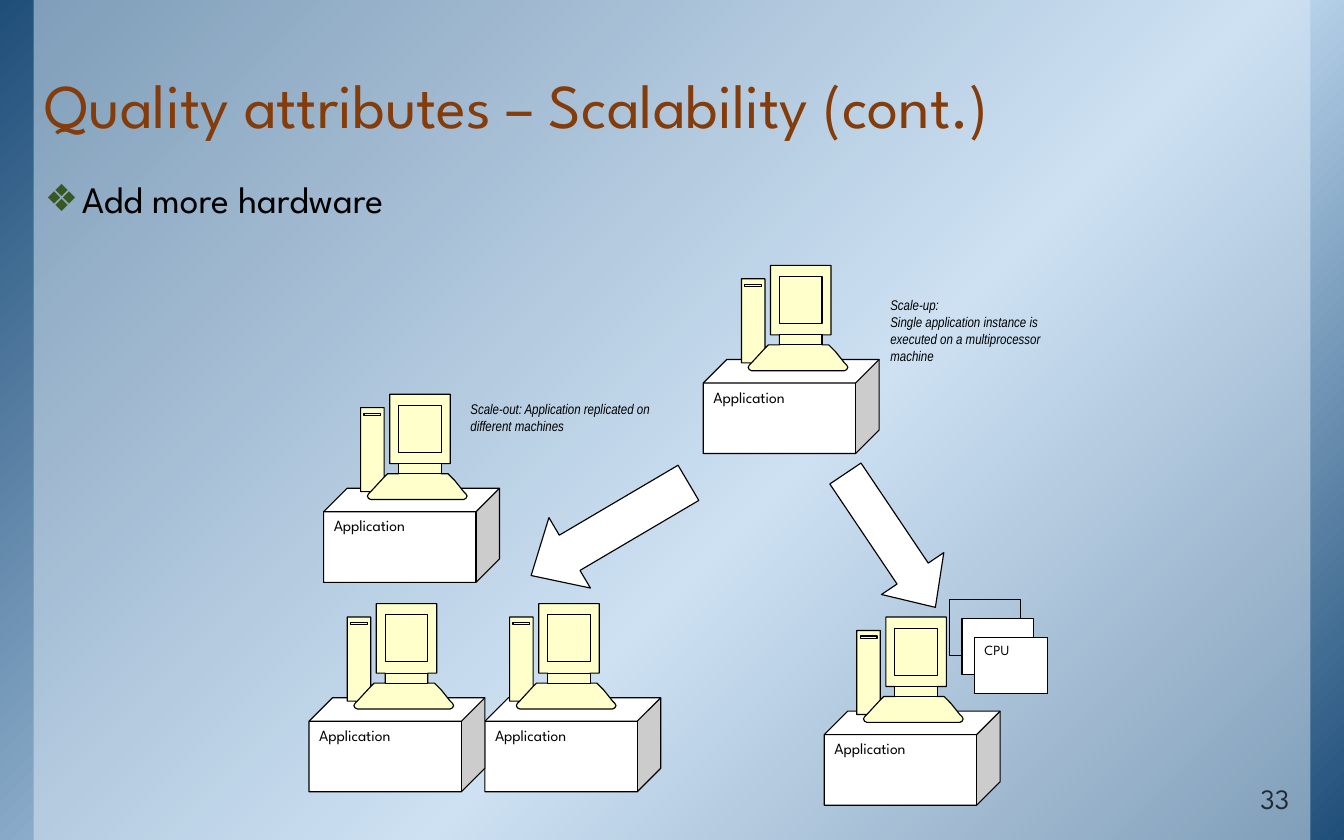
"""Build the scalability slide: scale-out against scale-up."""
from copy import deepcopy
from typing import NamedTuple

from lxml.etree import SubElement
from pptx import Presentation
from pptx.dml.color import RGBColor
from pptx.enum.shapes import MSO_SHAPE
from pptx.enum.text import MSO_ANCHOR, PP_ALIGN
from pptx.oxml.ns import qn
from pptx.util import Pt

PX = 9144
NAVY = RGBColor(0x1F, 0x4E, 0x79)
SKY = RGBColor(0xBD, 0xD7, 0xEE)
PALE = RGBColor(0xDE, 0xEB, 0xF7)
RUST = RGBColor(0x84, 0x3C, 0x0B)
GREEN = RGBColor(0x38, 0x57, 0x23)
SLATE = RGBColor(0x22, 0x2A, 0x35)
CREAM = RGBColor(0xFF, 0xFF, 0xCC)
WHITE = RGBColor(0xFF, 0xFF, 0xFF)
BLACK = RGBColor(0, 0, 0)
SPARTAN = "League Spartan"
NARROW = "Arial Narrow"
WIDE = (13, 7)
TIGHT = (9, 4)


class Box(NamedTuple):
    x: int
    y: int
    w: int
    h: int


class Node(NamedTuple):
    x: int
    y: int
    shift: int


class Arrow(NamedTuple):
    box: Box
    turn: float
    head: float


class Note(NamedTuple):
    box: Box
    text: str


NODES = [Node(628, 321, 34), Node(433, 623, 22), Node(276, 623, 34),
         Node(736, 635, 29), Node(289, 436, 33)]
ARROWS = [Arrow(Box(463, 436, 163, 73), 329.5, 0.547),
          Arrow(Box(723, 449, 144, 67), 236.1, 0.543)]
NOTES = [
    Note(Box(411, 354, 179, 84), "Scale-out: Application replicated on different machines"),
    Note(Box(786, 261, 174, 124),
         "Scale-up:\nSingle application instance is executed on a multiprocessor machine"),
]
CASE = [(21, 74), (24, 71), (34, 71), (34, 62), (26, 62), (26, 0), (80, 0), (80, 62),
        (72, 62), (72, 71), (78, 71), (84, 77), (92, 87), (94, 89), (95, 91), (94, 93),
        (92, 94), (9, 94), (7, 93), (6, 91), (7, 89), (9, 87), (0, 87), (0, 12),
        (21, 12), (21, 74), (9, 87)]


def frame(x: int, y: int, w: int, h: int) -> list:
    """Return the corners of a rectangle."""
    return [(x, y), (x + w, y), (x + w, y + h), (x, y + h)]


PARTS = [CASE, frame(34, 10, 38, 42), frame(3, 17, 15, 2), frame(34, 62, 38, 9)]


def scale(box: Box) -> list:
    """Turn a box into EMU lengths."""
    return [n * PX for n in box]


def place(shape, box: Box) -> None:
    """Move and size a shape."""
    shape.left, shape.top, shape.width, shape.height = scale(box)


def write(shape, text: str, *, size: int, font: str = SPARTAN, color: RGBColor = BLACK,
          italic: bool = False, align=PP_ALIGN.LEFT, anchor=MSO_ANCHOR.TOP,
          inset: tuple = TIGHT, line: float = 1.0, after: int = 0) -> None:
    """Put formatted text into a shape."""
    body = shape.text_frame
    body.text = text
    body.word_wrap = True
    body.vertical_anchor = anchor
    body.margin_left = body.margin_right = inset[0] * PX
    body.margin_top = body.margin_bottom = inset[1] * PX
    for para in body.paragraphs:
        para.alignment = align
        para.line_spacing = line
        para.space_before, para.space_after = Pt(0), Pt(after)
        for run in para.runs:
            face = run.font
            face.name, face.size, face.italic = font, Pt(size), italic
            face.color.rgb = color


def paint(shape, fill: RGBColor | None) -> None:
    """Give a shape its fill and thin black line."""
    shape.shadow.inherit = False
    if fill is None:
        shape.fill.background()
    else:
        shape.fill.solid()
        shape.fill.fore_color.rgb = fill
    shape.line.color.rgb = BLACK
    shape.line.width = Pt(0.75)


def draw(slide, kind, box: Box, fill: RGBColor | None = WHITE):
    """Add a preset shape."""
    shape = slide.shapes.add_shape(kind, *scale(box))
    paint(shape, fill)
    return shape


def back(slide) -> None:
    """Lay the gradient and the pale panel behind all else."""
    base = draw(slide, MSO_SHAPE.RECTANGLE, Box(0, 0, 1200, 750))
    base.fill.gradient()
    base.fill.gradient_angle = 315
    stops = base._element.spPr.find(qn("a:gradFill")).find(qn("a:gsLst"))
    stops.append(deepcopy(stops[0]))
    for stop, (pos, color) in zip(base.fill.gradient_stops,
                                  [(0, NAVY), (0.58, SKY), (1, NAVY)]):
        stop.position, stop.color.rgb = pos, color
    panel = draw(slide, MSO_SHAPE.RECTANGLE, Box(30, 0, 1140, 750), PALE)
    tint = panel._element.spPr.find(qn("a:solidFill"))[0]
    SubElement(tint, qn("a:alpha"), val="50000")
    for spot, shape in enumerate((base, panel), 2):
        shape.line.fill.background()
        slide.shapes._spTree.insert(spot, shape._element)


def bullet(para) -> None:
    """Give a paragraph a green diamond and a hanging indent."""
    props = para._p.get_or_add_pPr()
    props.set("marL", str(33 * PX))
    props.set("indent", str(-33 * PX))
    SubElement(SubElement(props, qn("a:buClr")), qn("a:srgbClr"), val=str(GREEN))
    SubElement(props, qn("a:buChar"), char="❖")


def desktop(slide, x: int, y: int) -> None:
    """Draw a computer, each part as its own outline."""
    pen = slide.shapes.build_freeform(*PARTS[0][0], scale=PX)
    pen.add_line_segments(PARTS[0][1:])
    for part in PARTS[1:]:
        pen.move_to(*part[0])
        pen.add_line_segments(part[1:])
    shape = pen.convert_to_shape(x * PX, y * PX)
    paint(shape, CREAM)
    trail = next(shape._element.iter(qn("a:path")))
    group, part = trail.getparent(), trail
    for step in list(trail)[1:]:
        if step.tag == qn("a:moveTo"):
            part = SubElement(group, qn("a:path"), dict(trail.attrib))
        part.append(step)


def station(slide, node: Node) -> None:
    """Draw an application block with its computer."""
    cube = draw(slide, MSO_SHAPE.CUBE, Box(node.x, node.y, 157, 84))
    cube.adjustments[0] = 0.25
    write(cube, "Application", size=10)
    desktop(slide, node.x + node.shift, node.y - 84)


def main() -> None:
    """Build and save the slide."""
    deck = Presentation()
    deck.slide_width, deck.slide_height = 1200 * PX, 750 * PX
    slide = deck.slides.add_slide(deck.slide_layouts[1])
    back(slide)
    title, body = slide.placeholders
    place(title, Box(27, 8, 1136, 125))
    write(title, "Quality attributes – Scalability (cont.)", size=40, color=RUST,
          anchor=MSO_ANCHOR.BOTTOM, inset=WIDE, line=0.85)
    place(body, Box(27, 150, 1136, 533))
    write(body, "Add more hardware", size=24, align=PP_ALIGN.JUSTIFY, inset=WIDE, after=6)
    bullet(body.text_frame.paragraphs[0])
    page = slide.shapes.add_textbox(*scale(Box(1055, 700, 109, 35)))
    write(page, "33", size=18, color=SLATE, align=PP_ALIGN.RIGHT,
          anchor=MSO_ANCHOR.BOTTOM, inset=WIDE)
    for node in NODES:
        station(slide, node)
    for arrow in ARROWS:
        shape = draw(slide, MSO_SHAPE.LEFT_ARROW, arrow.box)
        shape.rotation = arrow.turn
        shape.adjustments[0], shape.adjustments[1] = 0.5, arrow.head
    for note in NOTES:
        label = slide.shapes.add_textbox(*scale(note.box))
        write(label, note.text, size=9, font=NARROW, italic=True)
    for i, fill in enumerate((None, WHITE, WHITE)):
        chip = draw(slide, MSO_SHAPE.RECTANGLE, Box(848 + 11 * i, 535 + 17 * i, 63 + i, 50), fill)
    write(chip, "CPU", size=9)
    deck.save("out.pptx")


if __name__ == "__main__":
    main()
